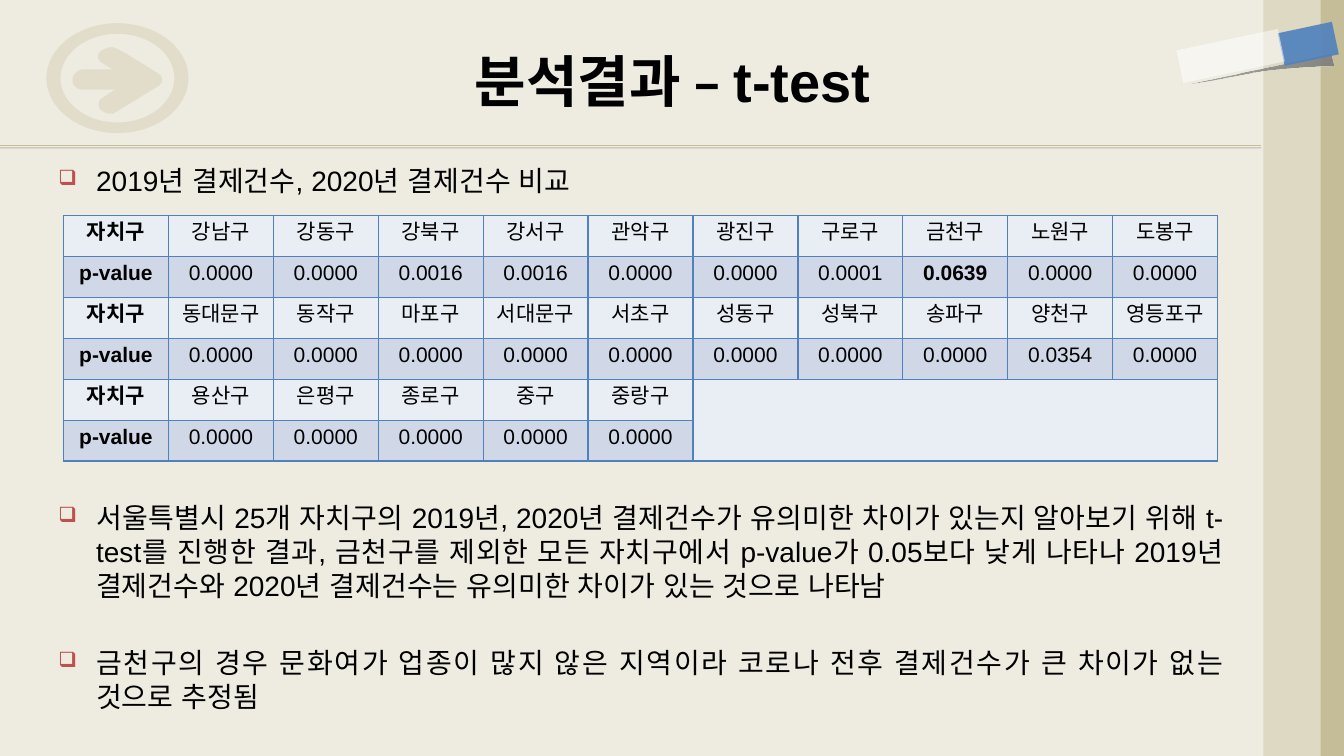
from dataclasses import dataclass
from typing import Optional

from pptx import Presentation
from pptx.dml.color import RGBColor as RGB
from pptx.enum.shapes import MSO_CONNECTOR as Link, MSO_SHAPE as Kind
from pptx.enum.text import MSO_ANCHOR as Anchor, PP_ALIGN as Align
from pptx.oxml import parse_xml
from pptx.util import Inches, Pt

NS = 'xmlns:a="http://schemas.openxmlformats.org/drawingml/2006/main"'
CELL = Inches(0.1)  # the layout grid has square cells
COLS, ROWS = 133.3, 75
Step = tuple[float, ...]  # one point for a line, three for a curve


@dataclass(frozen=True)
class Theme:
    paper: str = "EEECE1"
    sand: str = "DDD9C3"
    khaki: str = "C4BD97"
    blue: str = "4F81BD"
    white: str = "FFFFFF"
    gray: str = "808080"
    ink: str = "000000"
    red: str = "C0504D"
    light: str = "E9EDF4"
    dark: str = "D0D8E8"
    font: str = "Arial"
    head: str = "Cabin"
    mark: str = "Wingdings"
    title: int = 40
    body: int = 20
    small: int = 15


@dataclass(frozen=True)
class Box:
    x: float
    y: float
    w: float
    h: float

    def emu(self) -> list[int]:
        return [grid(v) for v in (self.x, self.y, self.w, self.h)]


@dataclass(frozen=True)
class Panel:
    box: Box
    color: str
    turn: float = 0
    alpha: Optional[int] = None


@dataclass(frozen=True)
class Note:
    box: Box
    items: list[str]
    align: Align


T = Theme()
STRIPES = [Panel(Box(125.5, 0, 7.9, ROWS), T.khaki),
           Panel(Box(125.3, 0, 5.7, ROWS), T.sand)]
TAPE = [Panel(Box(128.1, 1.6, 3.3, 5.5), T.blue, 78, 90),
        Panel(Box(120.4, 0.4, 3.3, 10.3), T.white, 78, 50)]
ARROW = [(15.7, 7.3), (14.9, 6.8, 12.3, 5.1, 11.3, 4.7), (10.7, 4.6, 10.6, 4.8, 10.1, 5),
         (9.7, 5.2, 9.6, 5.7, 9.9, 6.1), (11.2, 6.9), (8.1, 6.9),
         (7.4, 7.1, 7.2, 7.6, 7.2, 7.9), (7.1, 8.3, 7.4, 8.8, 8.1, 8.9), (11.4, 8.9),
         (9.9, 9.9), (9.7, 10.2, 9.8, 10.7, 10, 10.9), (10.2, 11.1, 10.6, 11.3, 11.2, 11.3),
         (13.5, 9.9, 15.8, 8.5, 15.8, 8.5), (16.1, 8.2, 16.1, 8.1, 16.1, 7.9),
         (16.1, 7.7, 16, 7.5, 15.7, 7.3)]
SHADE = [(132, 5.3), (132.3, 6.5), (123.8, 6.8, 122, 7.8, 118, 8.3),
         (122.7, 7.3, 127.3, 6.4, 132, 5.3)]
NOTES = [
    Note(Box(4.8, 15.7, 67, 4.1), ["2019년 결제건수, 2020년 결제건수 비교"], Align.LEFT),
    Note(Box(4.8, 49.2, 117.5, 23.3), [
        "서울특별시 25개 자치구의 2019년, 2020년 결제건수가 유의미한 차이가 있는지 알아보기 위해 "
        "t-test를 진행한 결과, 금천구를 제외한 모든 자치구에서 p-value가 0.05보다 낮게 나타나 "
        "2019년 결제건수와 2020년 결제건수는 유의미한 차이가 있는 것으로 나타남",
        "금천구의 경우 문화여가 업종이 많지 않은 지역이라 코로나 전후 결제건수가 큰 차이가 없는 "
        "것으로 추정됨"], Align.JUSTIFY)]
AREAS = ("강남구 강동구 강북구 강서구 관악구 광진구 구로구 금천구 노원구 도봉구 "
         "동대문구 동작구 마포구 서대문구 서초구 성동구 성북구 송파구 양천구 영등포구 "
         "용산구 은평구 종로구 중구 중랑구").split()
VALUES = {"강북구": "0.0016", "강서구": "0.0016", "구로구": "0.0001",
          "금천구": "0.0639", "양천구": "0.0354"}
PER_ROW = 10


def grid(n: float) -> int:
    return round(n * CELL)


def paint(shape, color: str, alpha: Optional[int] = None) -> None:
    shape.shadow.inherit = False
    shape.fill.solid()
    shape.fill.fore_color.rgb = RGB.from_string(color)
    shape.line.fill.background()
    if alpha is not None:
        tone = shape._element.spPr.find("{*}solidFill/{*}srgbClr")
        tone.append(parse_xml(f'<a:alpha {NS} val="{alpha * 1000}"/>'))


def panel(shapes, item: Panel) -> None:
    shape = shapes.add_shape(Kind.RECTANGLE, *item.box.emu())
    shape.rotation = item.turn
    paint(shape, item.color, item.alpha)


def outline(shapes, box: Box, *rings: list[Step]):
    """Draw closed outlines of lines and curves inside the box."""
    x, y, w, h = box.emu()
    pen = shapes.build_freeform(x, y)
    pen.add_line_segments([(x + w, y), (x + w, y + h), (x, y + h)])
    shape = pen.convert_to_shape()
    track = shape._element.spPr.find(".//{*}pathLst")[0]
    for child in list(track):
        track.remove(child)
    for ring in rings:
        for i, step in enumerate(ring):
            tag = "moveTo" if i == 0 else "lnTo" if len(step) == 2 else "cubicBezTo"
            dots = "".join(f'<a:pt x="{grid(a) - x}" y="{grid(b) - y}"/>'
                           for a, b in zip(step[::2], step[1::2]))
            track.append(parse_xml(f"<a:{tag} {NS}>{dots}</a:{tag}>"))
        track.append(parse_xml(f"<a:close {NS}/>"))
    return shape


def oval(rx: float, ry: float) -> list[Step]:
    x, y, k = 11.65, 7.75, 0.55
    arcs = [(x + k * a * rx + (1 - abs(a)) * 0, y) for a in ()]
    turns = [(0, -1), (1, 0), (0, 1), (-1, 0), (0, -1)]
    for (a, b), (c, d) in zip(turns, turns[1:]):
        arcs.append((x + (a + k * c) * rx, y + (b + k * d) * ry,
                     x + (c + k * a) * rx, y + (d + k * b) * ry,
                     x + c * rx, y + d * ry))
    return [(x, y - ry)] + arcs


def style(run, size: int, bold: bool = False, east: str = T.font) -> None:
    run.font.size, run.font.bold, run.font.name = Pt(size), bold, T.font
    run.font.color.rgb = RGB.from_string(T.ink)
    run._r.get_or_add_rPr().append(parse_xml(f'<a:ea {NS} typeface="{east}"/>'))


def rule(shapes) -> None:
    line = shapes.add_connector(Link.STRAIGHT, 0, grid(14.4), grid(125.1), grid(14.4))
    line.line.color.rgb = RGB.from_string(T.khaki)
    line.line.width = Pt(0.75)
    line._element.spPr.append(parse_xml(
        f'<a:effectLst {NS}><a:outerShdw dist="{Pt(2)}" dir="5400000" rotWithShape="0">'
        f'<a:srgbClr val="{T.ink}"><a:alpha val="22000"/></a:srgbClr>'
        '</a:outerShdw></a:effectLst>'))


def badge(shapes) -> None:
    paint(outline(shapes, Box(7.1, 4.7, 9, 6.6), ARROW), T.khaki, 30)
    ring = oval(7.05, 5.45), oval(5.65, 4.4)
    paint(outline(shapes, Box(4.6, 2.3, 14.1, 10.9), *ring), T.khaki, 30)


def shade(shapes) -> None:
    shape = outline(shapes, Box(118, 5.3, 14.3, 3), SHADE)
    paint(shape, T.gray)
    solid = shape._element.spPr.find("{*}solidFill")
    solid.getparent().replace(solid, parse_xml(
        f'<a:gradFill {NS}><a:gsLst><a:gs pos="0"><a:srgbClr val="{T.gray}"/></a:gs>'
        f'<a:gs pos="100000"><a:srgbClr val="{T.gray}"><a:alpha val="56000"/></a:srgbClr>'
        '</a:gs></a:gsLst><a:path path="circle"><a:fillToRect l="100000" t="100000"/>'
        '</a:path></a:gradFill>'))


def title(shapes) -> None:
    frame = shapes.add_textbox(*Box(6.7, 1.7, 120, 12.5).emu()).text_frame
    frame.word_wrap, frame.vertical_anchor = True, Anchor.MIDDLE
    frame.text = "분석결과 – t-test"
    para = frame.paragraphs[0]
    para.alignment = Align.CENTER
    style(para.runs[0], T.title, True, T.head)


def note(shapes, item: Note) -> None:
    frame = shapes.add_textbox(*item.box.emu()).text_frame
    frame.word_wrap = True
    frame.text = "\n".join(item.items)
    for i, para in enumerate(frame.paragraphs):
        para.alignment = item.align
        para.space_before = Pt(31.5 if i else 0)
        style(para.runs[0], T.body)
        props = para._p.get_or_add_pPr()
        props.set("marL", str(grid(3.75)))
        props.set("indent", str(-grid(3.75)))
        for tag in (f'buClr {NS}><a:srgbClr val="{T.red}"/></a:buClr>',
                    f'buSzPct {NS} val="75000"/>',
                    f'buFont {NS} typeface="{T.mark}" charset="2"/>',
                    f'buChar {NS} char="q"/>'):
            props.append(parse_xml("<a:" + tag))


def fill_cell(cell, text: str, bold: bool, color: str) -> None:
    props = cell._tc.get_or_add_tcPr()
    for side in "LRTB":
        props.append(parse_xml(
            f'<a:ln{side} {NS} w="{Pt(1)}"><a:solidFill><a:srgbClr val="{T.blue}"/>'
            f'</a:solidFill></a:ln{side}>'))
    cell.fill.solid()
    cell.fill.fore_color.rgb = RGB.from_string(color)
    cell.text_frame.text = text
    para = cell.text_frame.paragraphs[0]
    para.alignment = Align.CENTER
    for run in para.runs:
        style(run, T.small, bold)


def results(shapes) -> None:
    rows = []
    for i in range(0, len(AREAS), PER_ROW):
        names = AREAS[i:i + PER_ROW]
        rows += [["자치구"] + names,
                 ["p-value"] + [VALUES.get(name, "0.0000") for name in names]]
    table = shapes.add_table(len(rows), PER_ROW + 1, *Box(6.3, 21.4, 114.5, 24.35).emu()).table
    table.first_row = table.horz_banding = False
    for r, row in enumerate(rows):
        for c in range(PER_ROW + 1):
            text = row[c] if c < len(row) else ""
            color = T.dark if r % 2 and text else T.light
            fill_cell(table.cell(r, c), text, c == 0 or text == VALUES["금천구"], color)
    table.cell(4, 6).merge(table.cell(5, PER_ROW))


def main() -> None:
    deck = Presentation()
    deck.slide_width, deck.slide_height = grid(COLS), grid(ROWS)
    slide = deck.slides.add_slide(deck.slide_layouts[6])
    slide.background.fill.solid()
    slide.background.fill.fore_color.rgb = RGB.from_string(T.paper)
    shapes = slide.shapes
    # Backdrop
    rule(shapes)
    badge(shapes)
    for item in STRIPES:
        panel(shapes, item)
    shade(shapes)
    for item in TAPE:
        panel(shapes, item)
    # Content
    results(shapes)
    title(shapes)
    for item in NOTES:
        note(shapes, item)
    deck.save("out.pptx")


if __name__ == "__main__":
    main()
